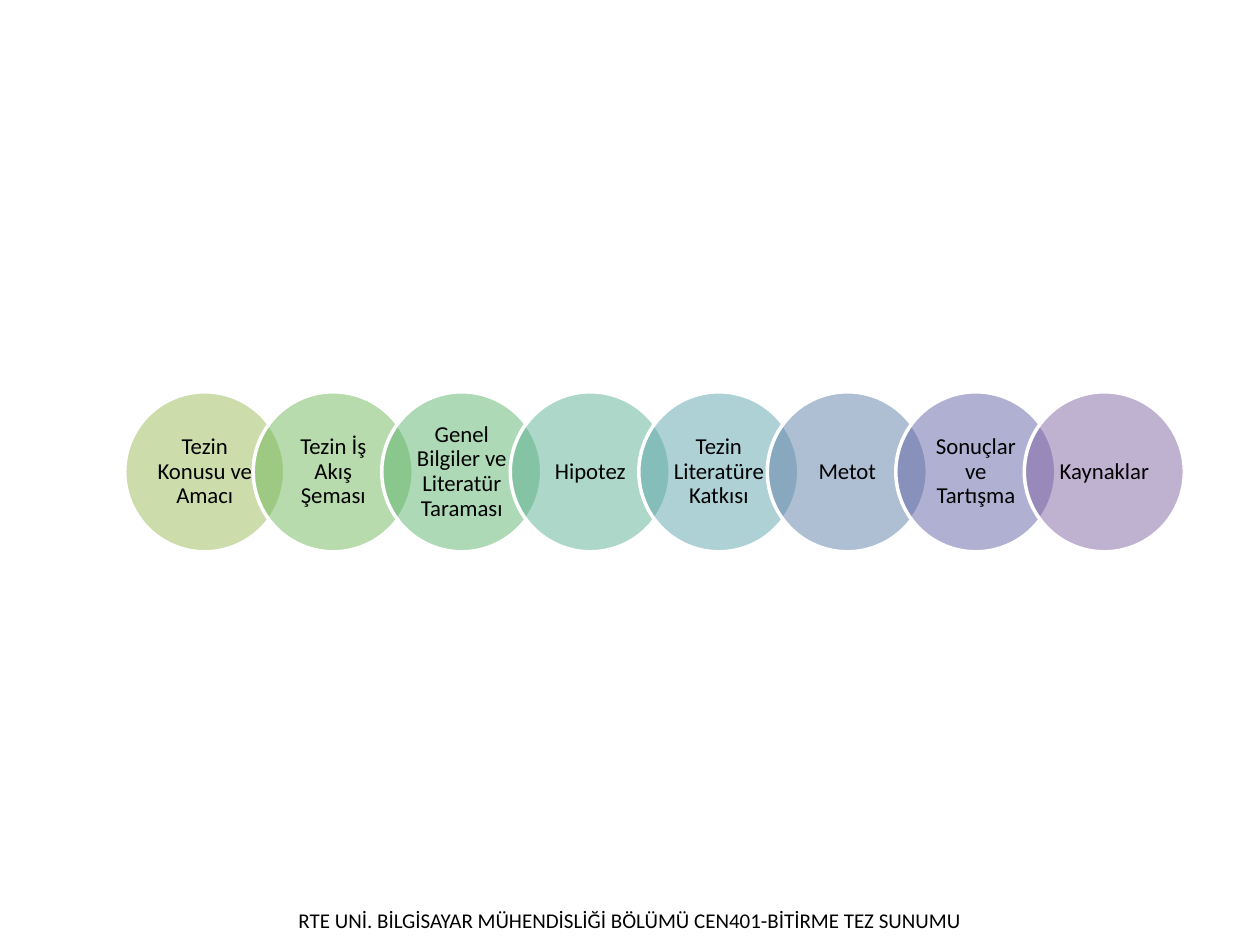
from dataclasses import dataclass

from lxml.etree import SubElement
from pptx import Presentation
from pptx.dml.color import RGBColor as RGB
from pptx.enum.shapes import MSO_SHAPE as Shape
from pptx.enum.text import MSO_ANCHOR as Anchor, PP_ALIGN as Align
from pptx.oxml.ns import qn
from pptx.util import Inches, Pt


@dataclass(frozen=True)
class Theme:
    """Colours, font and type sizes of the slide."""
    font: str = "Calibri"
    text: str = "000000"
    outline: str = "FFFFFF"
    opacity: int = 50
    label_size: int = 13
    footer_size: int = 12


THEME = Theme()
WIDTH, HEIGHT = 10, 7.5
LEFT, TOP = 0.99, 3.11
DIAMETER, STEP = 1.27, 1.02
STAGES = [
    ("Tezin Konusu ve Amacı", "9BBB59"),
    ("Tezin İş Akış Şeması", "70B85A"),
    ("Genel Bilgiler ve Literatür Taraması", "5CB46F"),
    ("Hipotez", "5DB195"),
    ("Tezin Literatüre Katkısı", "5FA4AD"),
    ("Metot", "6181A9"),
    ("Sonuçlar ve Tartışma", "6362A6"),
    ("Kaynaklar", "8064A2"),
]
FOOTER = "RTE UNİ. BİLGİSAYAR MÜHENDİSLİĞİ BÖLÜMÜ CEN401-BİTİRME TEZ SUNUMU"


def set_text(sp, text, size):
    """Put centred, wrapped text in a shape and return its paragraph."""
    tf = sp.text_frame
    tf.text = text
    tf.word_wrap = True
    tf.vertical_anchor = Anchor.MIDDLE
    p = tf.paragraphs[0]
    p.alignment = Align.CENTER
    font = p.runs[0].font
    font.name = THEME.font
    font.size = Pt(size)
    font.color.rgb = RGB.from_string(THEME.text)
    return p


def set_fill(sp, color, opacity):
    """Fill a shape with a translucent colour."""
    sp.fill.solid()
    sp.fill.fore_color.rgb = RGB.from_string(color)
    clr = sp.fill._xPr.find(qn("a:solidFill"))[0]
    SubElement(clr, qn("a:alpha"), val=str(opacity * 1000))


def add_stage(slide, column, text, color):
    """Add one labelled circle of the overlapping chain."""
    sp = slide.shapes.add_shape(
        Shape.OVAL, Inches(LEFT + column * STEP), Inches(TOP),
        Inches(DIAMETER), Inches(DIAMETER))
    sp.shadow.inherit = False
    set_fill(sp, color, THEME.opacity)
    sp.line.color.rgb = RGB.from_string(THEME.outline)
    sp.line.width = Pt(2)
    tf = sp.text_frame
    tf.margin_left = tf.margin_right = Inches(0.07)
    tf.margin_top = tf.margin_bottom = Inches(0.02)
    set_text(sp, text, THEME.label_size).line_spacing = 0.9


def add_footer(slide, text):
    """Add the centred line at the foot of the slide."""
    width, height = 0.63 * WIDTH, 0.4
    sp = slide.shapes.add_textbox(
        Inches((WIDTH - width) / 2), Inches(HEIGHT - height),
        Inches(width), Inches(height))
    set_text(sp, text, THEME.footer_size)


def main():
    """Build and save the slide."""
    prs = Presentation()
    prs.slide_width, prs.slide_height = Inches(WIDTH), Inches(HEIGHT)
    slide = prs.slides.add_slide(prs.slide_layouts[6])
    for column, (text, color) in enumerate(STAGES):
        add_stage(slide, column, text, color)
    add_footer(slide, FOOTER)
    prs.save("out.pptx")


if __name__ == "__main__":
    main()
